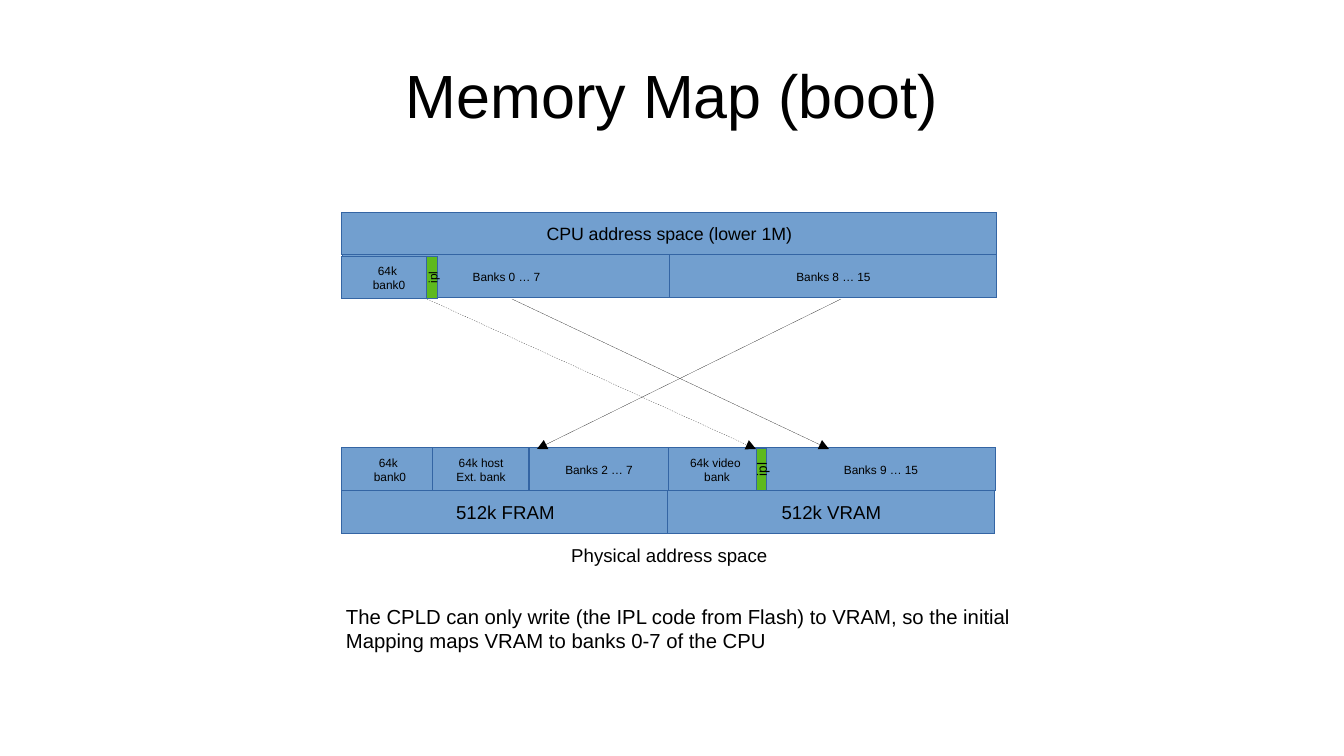
from typing import NamedTuple

from lxml.etree import SubElement
from pptx import Presentation
from pptx.dml.color import RGBColor
from pptx.enum.dml import MSO_LINE
from pptx.enum.shapes import MSO_CONNECTOR, MSO_SHAPE
from pptx.enum.text import MSO_ANCHOR, PP_ALIGN
from pptx.oxml.ns import qn
from pptx.util import Pt

SCALE = 914400 / 122
BLUE, GREEN, BORDER, BLACK = "729FCF", "5EB91E", "3465A4", "000000"
ROW_HEIGHT, IPL_WIDTH = 43, 11
MAP_LEFT, MAP_WIDTH = 342, 655
HALF_WIDTH, BANK_WIDTH = 327, 96
CPU_TOP = 212
CPU_BANKS_TOP = CPU_TOP + ROW_HEIGHT
PHYSICAL_BANKS_TOP = 448
MEMORY_TOP = PHYSICAL_BANKS_TOP + ROW_HEIGHT
LABEL_TOP = MEMORY_TOP + ROW_HEIGHT
ARROW_TOP = CPU_BANKS_TOP + ROW_HEIGHT + 1


class Block(NamedTuple):
    text: str
    left: int
    top: int
    width: int
    size: float = 7
    height: int = ROW_HEIGHT
    fill: str = BLUE
    rotation: int = 0


class Arrow(NamedTuple):
    start: int
    end: int
    dotted: bool = False


def emu(pixels: float) -> int:
    return round(pixels * SCALE)


def color(value: str) -> RGBColor:
    return RGBColor.from_string(value)


def place(shape, left: int, top: int, width: int, height: int) -> None:
    shape.left, shape.top = emu(left), emu(top)
    shape.width, shape.height = emu(width), emu(height)


def draw_hairline(line, value: str):
    line.color.rgb = color(value)
    properties = line._get_or_add_ln()
    properties.set("w", "0")
    return properties


def write(shape, text: str, size: float, align=PP_ALIGN.CENTER,
          anchor=MSO_ANCHOR.MIDDLE, wrap: bool = False) -> None:
    frame = shape.text_frame
    frame.text = text
    frame.word_wrap = wrap
    frame.vertical_anchor = anchor
    for paragraph in frame.paragraphs:
        paragraph.alignment = align
        for run in paragraph.runs:
            run.font.name = "Arial"
            run.font.size = Pt(size)
            run.font.color.rgb = color(BLACK)


def add_block(slide, block: Block) -> None:
    shape = slide.shapes.add_shape(MSO_SHAPE.RECTANGLE, 0, 0, 0, 0)
    place(shape, block.left, block.top, block.width, block.height)
    shape.rotation = block.rotation
    shape.shadow.inherit = False
    shape.fill.solid()
    shape.fill.fore_color.rgb = color(block.fill)
    draw_hairline(shape.line, BORDER)
    write(shape, block.text, block.size)


def add_ipl(slide, center: int, row_top: int, size: float) -> None:
    left = center - ROW_HEIGHT // 2
    top = row_top + (ROW_HEIGHT - IPL_WIDTH) // 2
    add_block(slide, Block("ipl", left, top, ROW_HEIGHT, size, IPL_WIDTH, GREEN, 270))


def add_arrow(slide, arrow: Arrow) -> None:
    connector = slide.shapes.add_connector(
        MSO_CONNECTOR.STRAIGHT, emu(arrow.start), emu(ARROW_TOP),
        emu(arrow.end), emu(PHYSICAL_BANKS_TOP + 1))
    properties = draw_hairline(connector.line, BLACK)
    if arrow.dotted:
        connector.line.dash_style = MSO_LINE.ROUND_DOT
    SubElement(properties, qn("a:tailEnd"), type="triangle")
    SubElement(connector._element.spPr, qn("a:effectLst"))


def add_text(slide, text: str, left: int, top: int, width: int, height: int,
             size: float, align, anchor) -> None:
    box = slide.shapes.add_textbox(0, 0, 0, 0)
    place(box, left, top, width, height)
    write(box, text, size, align, anchor)


BLOCKS = [
    Block("CPU address space (lower 1M)", MAP_LEFT, CPU_TOP, MAP_WIDTH, 10.5),
    Block("Banks 8 … 15", 670, CPU_BANKS_TOP, HALF_WIDTH),
    Block("Banks 0 … 7", 343, CPU_BANKS_TOP, HALF_WIDTH),
    Block("64k \vbank0", 341, CPU_BANKS_TOP + 1, BANK_WIDTH),
    Block("512k FRAM", MAP_LEFT, MEMORY_TOP, HALF_WIDTH, 11),
    Block("512k VRAM", 668, MEMORY_TOP, HALF_WIDTH, 11),
    Block("64k video \vbank", 669, PHYSICAL_BANKS_TOP, BANK_WIDTH),
    Block("64k \vbank0", MAP_LEFT, PHYSICAL_BANKS_TOP, BANK_WIDTH),
    Block("64k host\nExt. bank", 433, PHYSICAL_BANKS_TOP, BANK_WIDTH),
    Block("Banks 2 … 7", 529, PHYSICAL_BANKS_TOP, 140),
    Block("Banks 9 … 15", 766, PHYSICAL_BANKS_TOP, 230),
]
ARROWS = [Arrow(841, 537), Arrow(512, 829), Arrow(427, 756, dotted=True)]

presentation = Presentation()
presentation.slide_width, presentation.slide_height = emu(1344), emu(756)
slide = presentation.slides.add_slide(presentation.slide_layouts[5])

title = slide.shapes.title
place(title, 67, 31, 1210, 127)
write(title, "Memory Map (boot)", 36, wrap=True)
title_frame = title.text_frame
title_frame.margin_left = title_frame.margin_right = 0
title_frame.margin_top = title_frame.margin_bottom = 0

for block in BLOCKS:
    add_block(slide, block)
add_ipl(slide, 432, CPU_BANKS_TOP + 1, 7)
add_ipl(slide, 761, PHYSICAL_BANKS_TOP, 8)
for arrow in ARROWS:
    add_arrow(slide, arrow)

add_text(slide, "Physical address space", MAP_LEFT, LABEL_TOP, MAP_WIDTH, ROW_HEIGHT,
         11, PP_ALIGN.CENTER, MSO_ANCHOR.MIDDLE)
add_text(slide, "The CPLD can only write (the IPL code from Flash) to VRAM, so the initial\n"
         "Mapping maps VRAM to banks 0-7 of the CPU", 334, 598, 690, 57,
         12, PP_ALIGN.LEFT, MSO_ANCHOR.TOP)

presentation.save("out.pptx")
